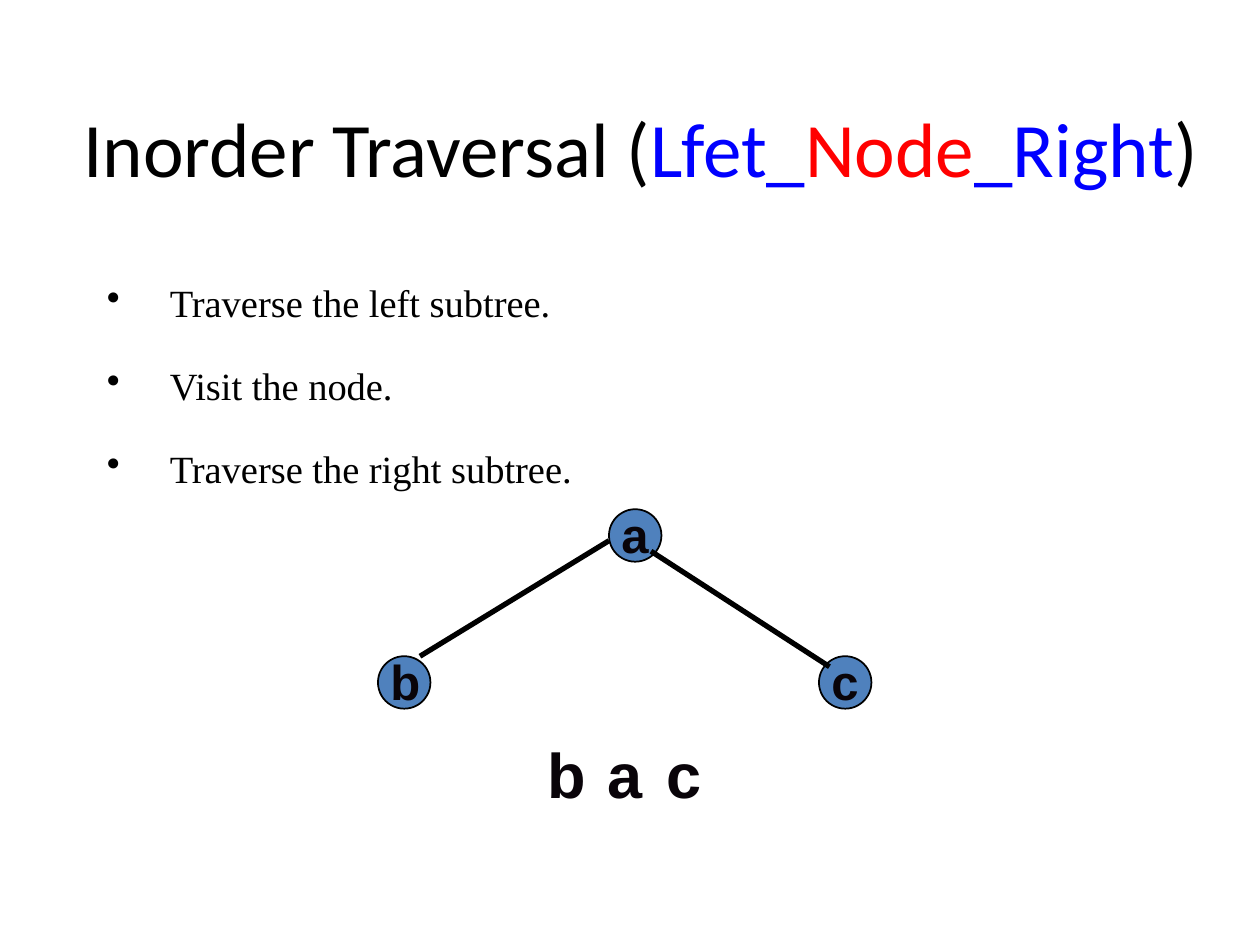
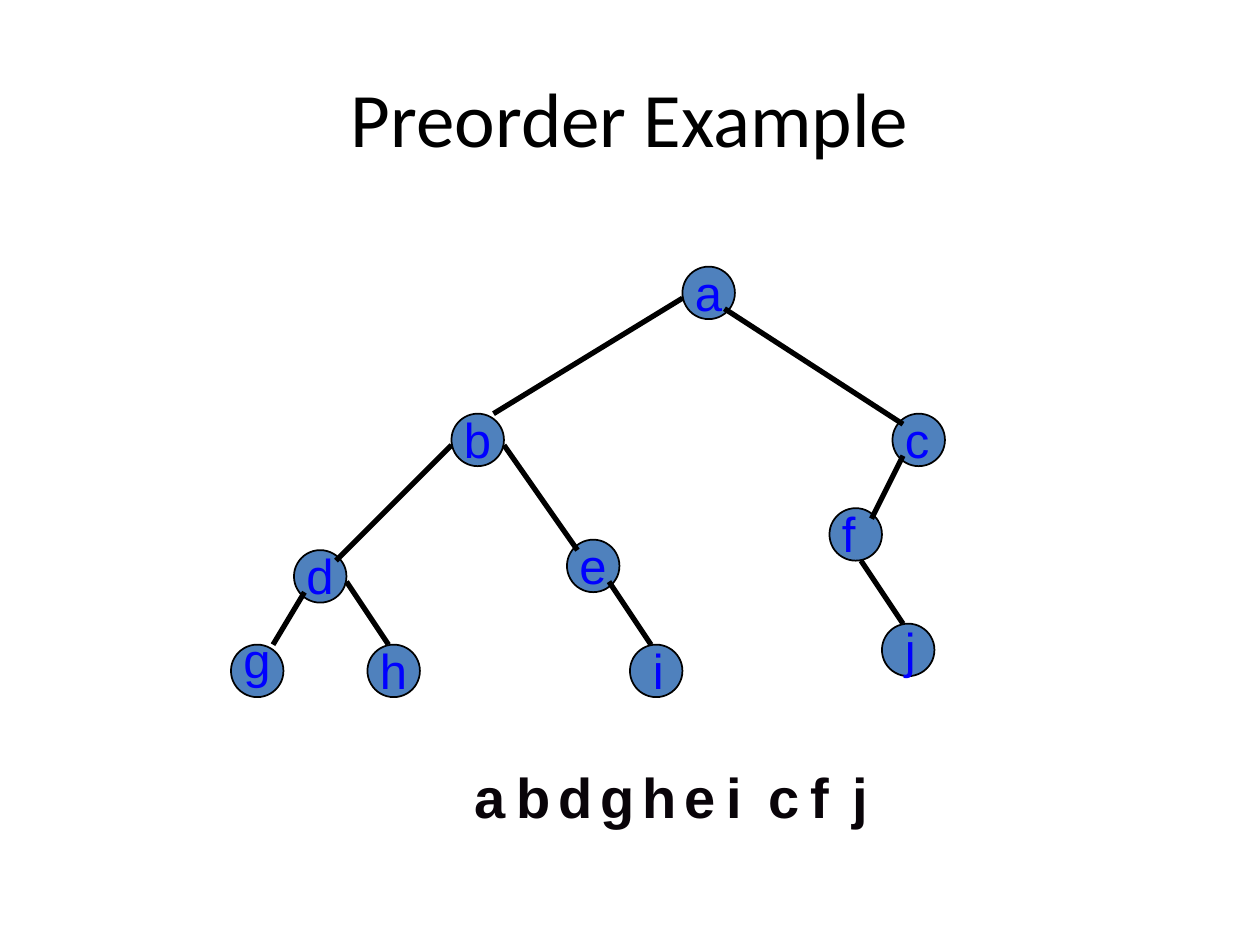
from lxml import etree
from pptx import Presentation
from pptx.dml.color import RGBColor
from pptx.enum.shapes import MSO_CONNECTOR, MSO_SHAPE
from pptx.enum.text import MSO_ANCHOR, PP_ALIGN
from pptx.oxml.ns import qn
from pptx.util import Pt

BLACK = RGBColor(0x00, 0x00, 0x00)
INK = RGBColor(0x09, 0x04, 0x09)
BLUE = RGBColor(0x00, 0x00, 0xFF)
RED = RGBColor(0xFF, 0x00, 0x00)
STEEL = RGBColor(0x4F, 0x81, 0xBD)

DISC = 30  # node diameter
LEAD = 0.625  # space before a line, as a share of its size

# Nodes: name -> offset in the tree
SMALL = {"a": (132, 0), "b": (0, 84), "c": (252, 84)}
LARGE = {
    "a": (258, 0), "b": (126, 84), "c": (378, 84), "d": (36, 162),
    "e": (192, 156), "f": (342, 138), "g": (0, 216), "h": (78, 216),
    "i": (228, 216), "j": (372, 204),
}

# Edges: parent and child, each with the point where the line meets its node
FORK = [("a", (0, 18), "b", (24, 0)), ("a", (24, 24), "c", (6, 6))]
LIMBS = FORK + [
    ("b", (0, 18), "d", (24, 6)),
    ("b", (30, 18), "e", (6, 6)),
    ("d", (6, 24), "g", (24, 0)),
    ("d", (30, 18), "h", (12, 0)),
    ("e", (24, 24), "i", (12, 0)),
    ("c", (6, 24), "f", (24, 6)),
    ("f", (18, 30), "j", (12, 0)),
]

# Labels that sit off the usual place
NUDGE = {"g": (0, -6), "i": (6, 0), "j": (6, 0)}


def style(para, name, size, color, bold=False):
    font = para.font
    font.name, font.size, font.bold = name, Pt(size), bold
    font.color.rgb = color


def frame(slide, box):
    text = slide.shapes.add_textbox(*map(Pt, box)).text_frame
    text.word_wrap = True
    return text


def letter(slide, char, box, size, color, bold):
    para = frame(slide, box).paragraphs[0]
    para.text = char
    para.space_before = Pt(size * LEAD)
    style(para, "Arial", size, color, bold)


def title(slide, box, parts):
    text = frame(slide, box)
    text.vertical_anchor = MSO_ANCHOR.MIDDLE
    para = text.paragraphs[0]
    para.alignment = PP_ALIGN.CENTER
    style(para, "Calibri", 44, BLACK)
    for words, color in parts:
        run = para.add_run()
        run.text = words
        run.font.color.rgb = color


def bullets(slide, box, lines):
    text = frame(slide, box)
    for num, line in enumerate(lines):
        para = text.add_paragraph() if num else text.paragraphs[0]
        para.text = line
        para.space_before = Pt(21)
        props = para._p.get_or_add_pPr()
        props.set("marL", str(Pt(36)))
        props.set("indent", str(-Pt(36)))
        etree.SubElement(props, qn("a:buChar")).set("char", "•")
        style(para, "Times New Roman", 22, BLACK)


def tree(slide, left, top, nodes, edges, color, bold):
    spots = {name: (left + x, top + y) for name, (x, y) in nodes.items()}
    # Discs
    for x, y in spots.values():
        disc = slide.shapes.add_shape(
            MSO_SHAPE.OVAL, Pt(x), Pt(y), Pt(DISC), Pt(DISC))
        disc.shadow.inherit = False
        disc.fill.solid()
        disc.fill.fore_color.rgb = STEEL
        disc.line.color.rgb = BLACK
        disc.line.width = Pt(1)
    # Edges
    for start, tail, end, head in edges:
        (px, py), (cx, cy) = spots[start], spots[end]
        line = slide.shapes.add_connector(
            MSO_CONNECTOR.STRAIGHT, Pt(px + tail[0]), Pt(py + tail[1]),
            Pt(cx + head[0]), Pt(cy + head[1]))
        line.line.color.rgb = BLACK
        line.line.width = Pt(3)
        etree.SubElement(line._element.spPr, qn("a:effectLst"))
    # Labels
    for name, (x, y) in spots.items():
        dx, dy = NUDGE.get(name, (0, 0))
        letter(slide, name, (x + dx, y - 6 + dy, 60, 41), 28, color, bold)


def order(slide, box, step, chars, size):
    left, top, width, height = box
    for num, char in enumerate(chars):
        spot = (left + num * step, top, width, height)
        letter(slide, char, spot, size, INK, True)


def inorder(slide):
    title(slide, (24, 30, 684, 108), [
        ("Inorder Traversal (", BLACK), ("Lfet_", BLUE), ("Node", RED),
        ("_Right", BLUE), (")", BLACK)])
    bullets(slide, (54, 156, 612, 132), [
        "Traverse the left subtree.",
        "Visit the node.",
        "Traverse the right subtree."])
    tree(slide, 216, 291, SMALL, FORK, INK, True)
    order(slide, (306, 417, 102, 50), 34, "bac", 36)


def preorder(slide):
    title(slide, (36, 21.6, 648, 90), [("Preorder Example", BLACK)])
    tree(slide, 132, 152.4, LARGE, LIMBS, BLUE, False)
    order(slide, (264, 432, 30, 46), 24, "abdgheicfj", 32)


def main():
    deck = Presentation()
    deck.slide_width, deck.slide_height = Pt(720), Pt(540)
    for build in (inorder, preorder):
        build(deck.slides.add_slide(deck.slide_layouts[6]))
    deck.save("out.pptx")


if __name__ == "__main__":
    main()
